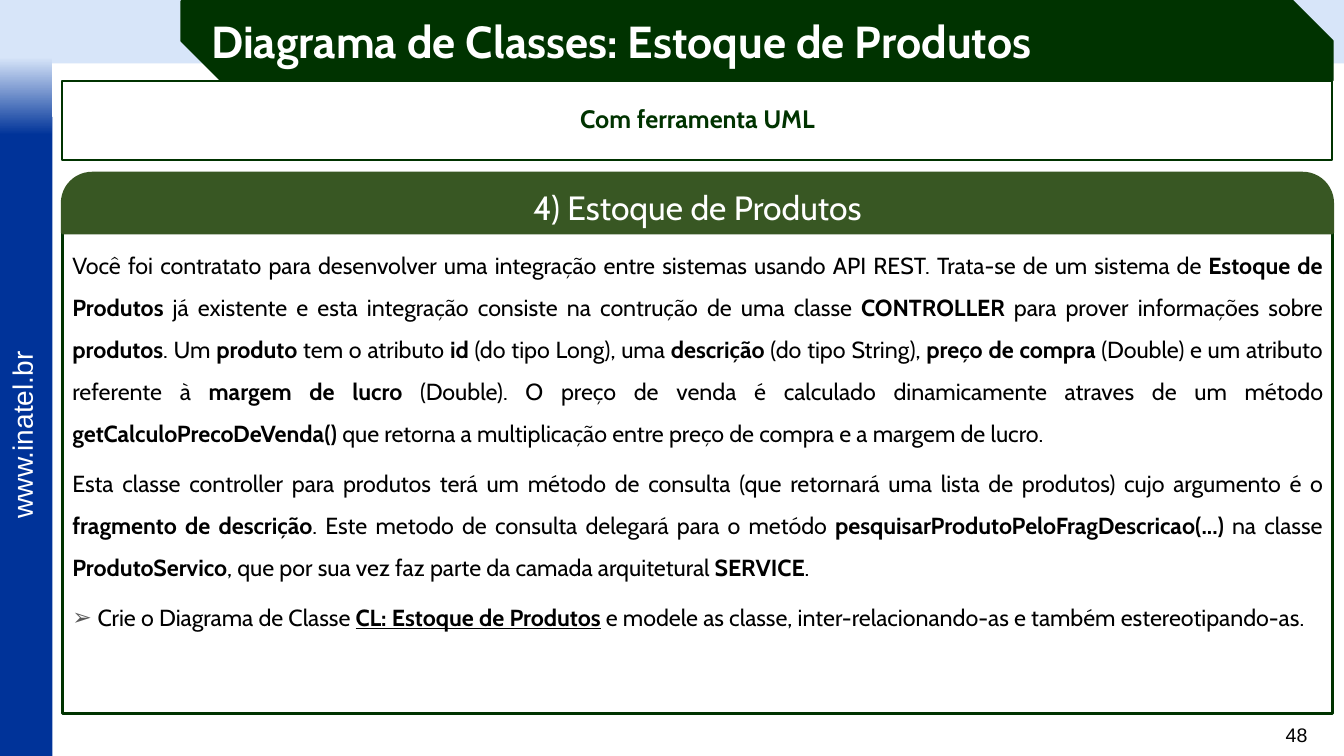
from lxml import etree
from pptx import Presentation
from pptx.dml.color import RGBColor
from pptx.enum.shapes import MSO_SHAPE
from pptx.enum.text import MSO_ANCHOR, PP_ALIGN
from pptx.oxml.ns import qn
from pptx.util import Pt

RECTANGLE = MSO_SHAPE.RECTANGLE
SNIPPED = MSO_SHAPE.SNIP_2_DIAG_RECTANGLE
ROUNDED_TOP = MSO_SHAPE.ROUND_2_SAME_RECTANGLE
TOP, MIDDLE = MSO_ANCHOR.TOP, MSO_ANCHOR.MIDDLE
LEFT, CENTER, RIGHT, JUSTIFY = PP_ALIGN.LEFT, PP_ALIGN.CENTER, PP_ALIGN.RIGHT, PP_ALIGN.JUSTIFY

WHITE = RGBColor(0xFF, 0xFF, 0xFF)
BLACK = RGBColor(0, 0, 0)
SKY = RGBColor(0xD7, 0xE5, 0xF9)
BLUE = RGBColor(0x00, 0x33, 0x99)
DARK_GREEN = RGBColor(0x00, 0x33, 0x00)
OLIVE = RGBColor(0x38, 0x57, 0x23)
BULLET_GRAY = RGBColor(0x59, 0x59, 0x59)

PANEL_LEFT, PANEL_WIDTH = 44.6, 907.2
SIDEBAR_WIDTH = 37.4

STATEMENT = [
    "Você foi contratato para desenvolver uma integração entre sistemas usando API REST. "
    "Trata-se de um sistema de *Estoque de Produtos* já existente e esta integração consiste "
    "na contrução de uma classe *CONTROLLER *para prover informações sobre *produtos*. "
    "Um *produto *tem o atributo *id* (do tipo Long), uma *descrição* (do tipo String), "
    "*preço de compra* (Double) e um atributo referente à *margem de lucro* (Double). "
    "O preço de venda é calculado dinamicamente atraves de um método "
    "*getCalculoPrecoDeVenda()* que retorna a multiplicação entre preço de compra e a "
    "margem de lucro.",
    "Esta classe controller para produtos terá um método de consulta (que retornará uma lista "
    "de produtos) cujo argumento é o *fragmento de descrição*. Este metodo de consulta delegará "
    "para o metódo *pesquisarProdutoPeloFragDescricao(...)* na classe *ProdutoServico*, que por "
    "sua vez faz parte da camada arquitetural *SERVICE*.",
    "Crie o Diagrama de Classe *CL: Estoque de Produtos* e modele as classe, "
    "inter-relacionando-as e também estereotipando-as.",
]


def add_panel(kind, left, top, width, height, fill, line=None, weight=0):
    panel = page.shapes.add_shape(kind, Pt(left), Pt(top), Pt(width), Pt(height))
    panel.shadow.inherit = False
    panel.fill.solid()
    panel.fill.fore_color.rgb = fill
    if line is None:
        panel.line.fill.background()
    else:
        panel.line.color.rgb = line
        panel.line.width = Pt(weight)
    return panel


def write(box, paragraphs, size, color, align, anchor=TOP, font="Cabin"):
    frame = box.text_frame
    frame.word_wrap = True
    frame.vertical_anchor = anchor
    for index, text in enumerate(paragraphs):
        para = frame.add_paragraph() if index else frame.paragraphs[0]
        para.alignment = align
        for part, words in enumerate(text.split("*")):
            if words:
                span = para.add_run()
                span.text = words
                span.font.color.rgb = color
                formats = {"name": font, "size": Pt(size), "bold": part % 2 == 1}
                for name, value in formats.items():
                    setattr(span.font, name, value)
    return frame.paragraphs


deck = Presentation()
deck.slide_width, deck.slide_height = Pt(960), Pt(540)
page = deck.slides.add_slide(deck.slide_layouts[6])

add_panel(RECTANGLE, 0, 0, 960, 45.4, SKY)
add_panel(RECTANGLE, 0, 83.5, SIDEBAR_WIDTH, 456.5, BLUE)
fade = add_panel(RECTANGLE, 0, 41, SIDEBAR_WIDTH, 55.4, SKY)
fade.fill.gradient()
fade.fill.gradient_angle = 270
for stop, color, position in zip(fade.fill.gradient_stops, (SKY, BLUE), (0, 1)):
    stop.color.rgb = color
    stop.position = position

site = page.shapes.add_textbox(Pt(-51.8), Pt(294.5), Pt(134.6), Pt(31))
site.rotation = 270
write(site, ["www.inatel.br"], 20, WHITE, LEFT, font="Arial")

number = page.shapes.add_textbox(Pt(894.2), Pt(512.6), Pt(46.8), Pt(24.5))
write(number, ["48"], 14, BLACK, RIGHT, font="Arial")

body = add_panel(RECTANGLE, PANEL_LEFT, 166.3, PANEL_WIDTH, 343.4, WHITE, DARK_GREEN, 2.25)
paragraphs = write(body, STATEMENT, 16.6, BLACK, JUSTIFY)
for para in paragraphs:
    para.line_spacing = 1.5
for para in paragraphs[1:]:
    para.space_before = Pt(6)

task = paragraphs[-1]
task.runs[1].font.underline = True
properties = task._p.get_or_add_pPr()
properties.set("marL", str(Pt(18)))
properties.set("indent", str(Pt(-18)))
bullet_color = etree.SubElement(properties, qn("a:buClr"))
etree.SubElement(bullet_color, qn("a:srgbClr"), val=str(BULLET_GRAY))
etree.SubElement(properties, qn("a:buFont"), typeface="Arial")
etree.SubElement(properties, qn("a:buChar"), char="➢")

title = add_panel(SNIPPED, 129.6, 0.7, 822.2, 56.9, DARK_GREEN, DARK_GREEN, 1.5)
title.adjustments[0], title.adjustments[1] = 0, 0.5
write(title, ["*Diagrama de Classes: Estoque de Produtos*"], 32, WHITE, LEFT, MIDDLE)

heading = add_panel(ROUNDED_TOP, PANEL_LEFT, 123.8, PANEL_WIDTH, 42.5, OLIVE, OLIVE, 2.25)
heading.adjustments[0], heading.adjustments[1] = 0.5, 0
write(heading, ["4) Estoque de Produtos"], 24, WHITE, CENTER, MIDDLE)

subtitle = add_panel(RECTANGLE, PANEL_LEFT, 57.6, PANEL_WIDTH, 56.9, WHITE, DARK_GREEN, 1.5)
subtitle_paragraphs = write(subtitle, ["*Com ferramenta UML*"], 18, DARK_GREEN, CENTER, MIDDLE)
subtitle_paragraphs[0].line_spacing = 0.9

deck.save("out.pptx")
